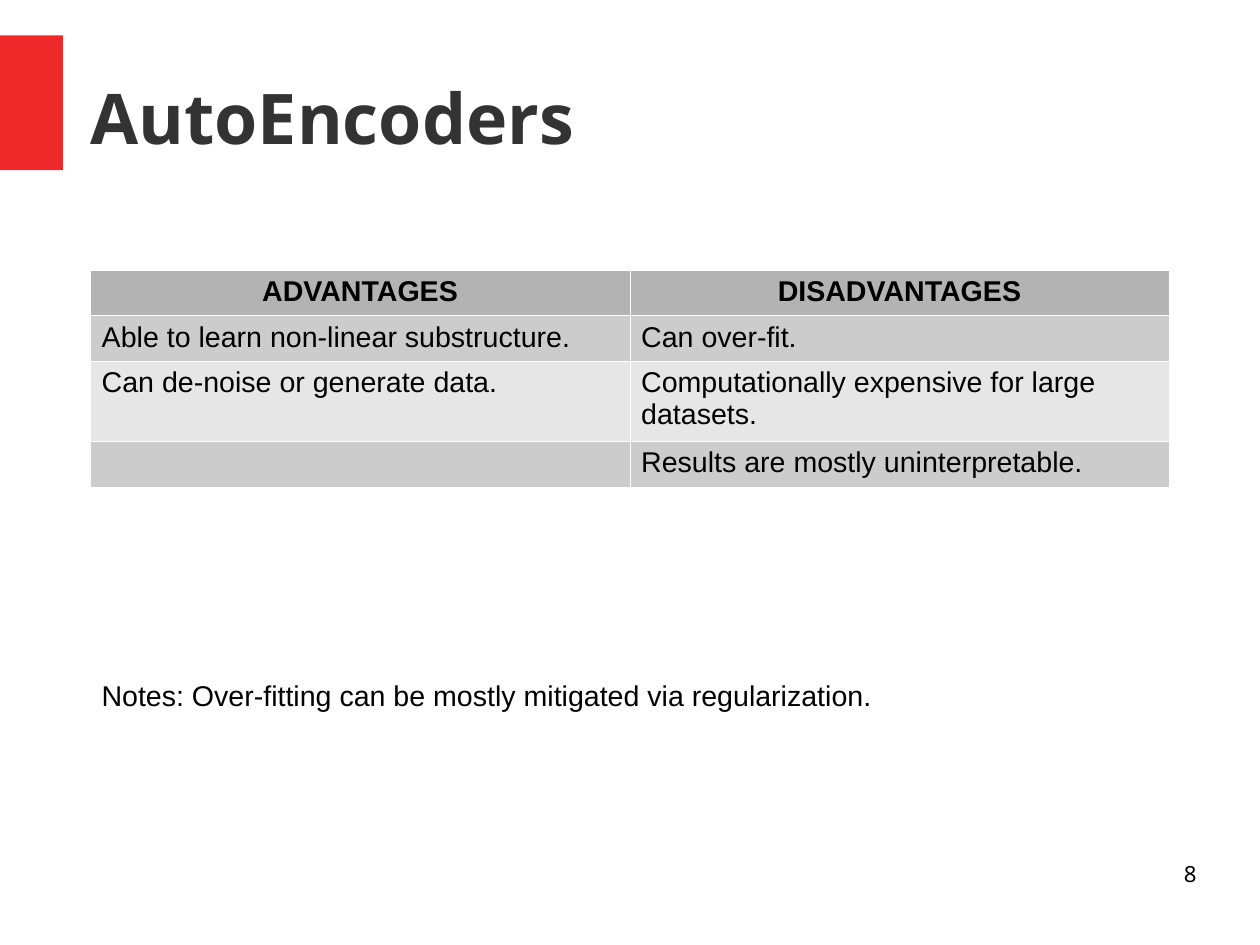
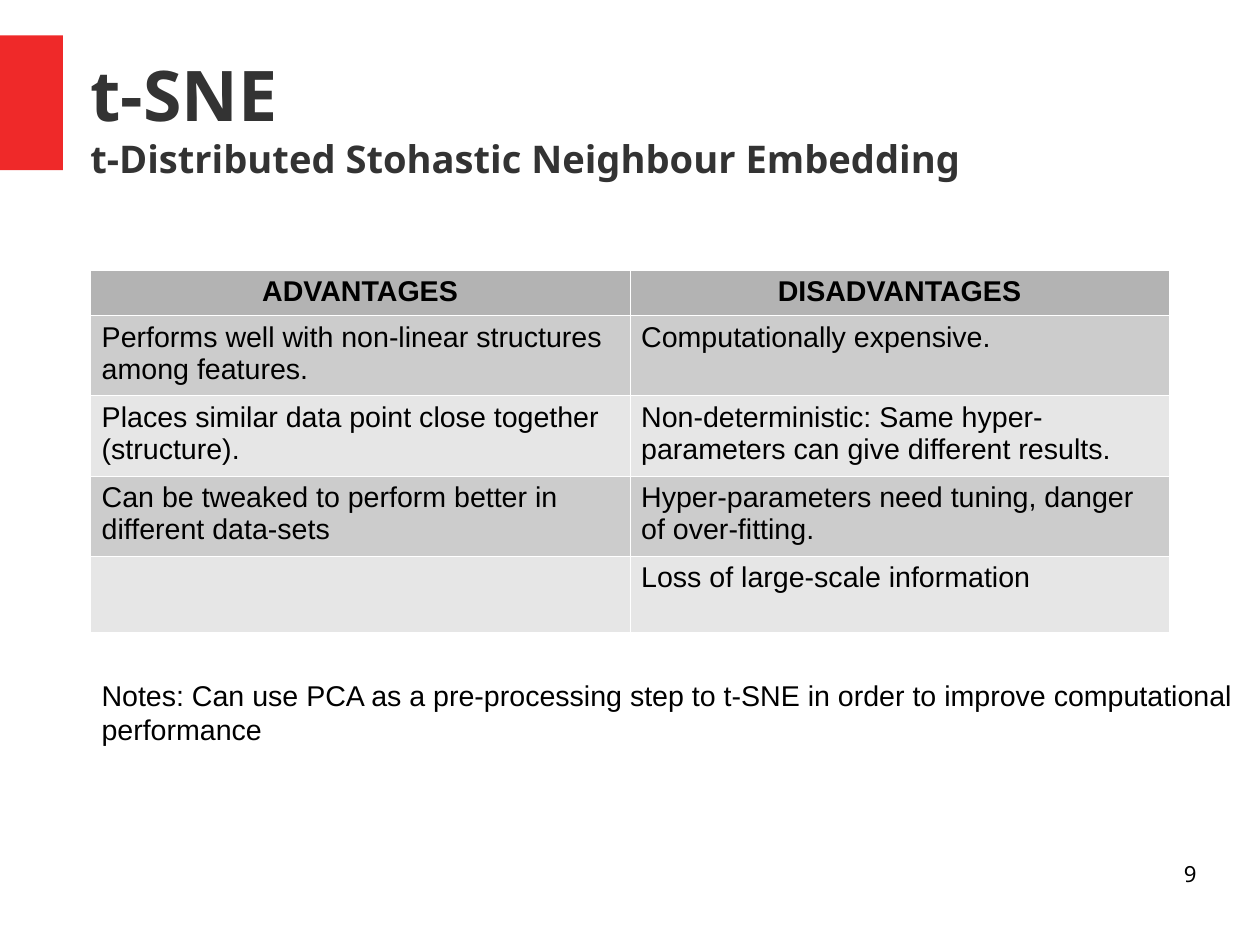
"""Build two slides that weigh advantages and disadvantages of embedding methods."""
from lxml.etree import SubElement
from pptx import Presentation
from pptx.dml.color import RGBColor
from pptx.enum.shapes import MSO_SHAPE
from pptx.enum.text import MSO_ANCHOR, PP_ALIGN
from pptx.oxml.ns import qn
from pptx.util import Inches, Pt

SLIDES = [
    {
        "number": "8",
        "title": [("AutoEncoders", 44)],
        "rows": [
            (0.4, "Able to learn non-linear substructure.", "Can over-fit."),
            (0.7, "Can de-noise or generate data.",
             "Computationally expensive for large datasets."),
            (0.4, "", "Results are mostly uninterpretable."),
        ],
        "notes": ["Notes: Over-fitting can be mostly mitigated via regularization."],
    },
    {
        "number": "9",
        "title": [("t-SNE", 44), ("t-Distributed Stohastic Neighbour Embedding", 24)],
        "rows": [
            (0.7, "Performs well with non-linear structures among features.",
             "Computationally expensive."),
            (0.7, "Places similar data point close together (structure).",
             "Non-deterministic: Same hyper-parameters can give different results."),
            (0.7, "Can be tweaked to perform better in different data-sets",
             "Hyper-parameters need tuning, danger of over-fitting."),
            (0.67, "", "Loss of large-scale information"),
        ],
        "notes": [
            "Notes: Can use PCA as a pre-processing step to t-SNE in order to improve computational",
            "performance",
        ],
    },
]
HEADER = (0.4, "ADVANTAGES", "DISADVANTAGES")
HEADER_FILL, BAND_FILLS = "B3B3B3", ("CCCCCC", "E6E6E6")
RED, DARK, BLACK, WHITE = "EF2929", "333333", "000000", "FFFFFF"
HEADING_FONT, BODY_FONT = "Noto Sans", "Arial"
PAGE_WIDTH, PAGE_HEIGHT = 28 / 2.54, 21 / 2.54
LEFT, COLUMN_WIDTH = 0.79, 4.72


def color(value):
    return RGBColor.from_string(value)


def write(frame, lines, font, ink=BLACK, bold=False, align=PP_ALIGN.LEFT):
    for index, (text, size) in enumerate(lines):
        para = frame.add_paragraph() if index else frame.paragraphs[0]
        para.alignment = align
        span = para.add_run()
        span.text = text
        span.font.name, span.font.size, span.font.bold = font, Pt(size), bold
        span.font.color.rgb = color(ink)


def add_text(page, place, lines, font, inset=(0, 0), anchor=MSO_ANCHOR.TOP, **style):
    frame = page.shapes.add_textbox(*map(Inches, place)).text_frame
    frame.word_wrap = True
    frame.vertical_anchor = anchor
    frame.margin_left = frame.margin_right = Inches(inset[0])
    frame.margin_top = frame.margin_bottom = Inches(inset[1])
    write(frame, lines, font, **style)


def add_borders(cell):
    properties = cell._tc.get_or_add_tcPr()
    for index, side in enumerate(("a:lnL", "a:lnR", "a:lnT", "a:lnB")):
        line = SubElement(properties, qn(side), w=str(Pt(0.06)))
        fill = SubElement(line, qn("a:solidFill"))
        SubElement(fill, qn("a:srgbClr"), val=WHITE)
        properties.insert(index, line)


def add_comparison(page, body):
    rows = [HEADER, *body]
    height = sum(row[0] for row in rows)
    table = page.shapes.add_table(
        len(rows), 2, Inches(LEFT), Inches(2.36),
        Inches(2 * COLUMN_WIDTH), Inches(height)).table
    for column in table.columns:
        column.width = Inches(COLUMN_WIDTH)
    for index, (row_height, *texts) in enumerate(rows):
        table.rows[index].height = Inches(row_height)
        is_header = index == 0
        for position, text in enumerate(texts):
            cell = table.cell(index, position)
            cell.fill.solid()
            cell.fill.fore_color.rgb = color(
                HEADER_FILL if is_header else BAND_FILLS[(index - 1) % 2])
            add_borders(cell)
            if text:
                write(cell.text_frame, [(text, 18)], BODY_FONT, bold=is_header,
                      align=PP_ALIGN.CENTER if is_header else PP_ALIGN.LEFT)


def add_frame(page, title, number):
    band = page.shapes.add_shape(
        MSO_SHAPE.RECTANGLE, 0, Inches(0.31), Inches(0.55), Inches(1.18))
    band.shadow.inherit = False
    band.fill.solid()
    band.fill.fore_color.rgb = color(RED)
    band.line.fill.background()
    add_text(page, (LEFT, 0.33, 9.68, 1.38), title, HEADING_FONT,
             anchor=MSO_ANCHOR.MIDDLE, ink=DARK, bold=True)
    add_text(page, (7.9, 7.53, 2.57, 0.57), [(number, 14)], HEADING_FONT,
             align=PP_ALIGN.RIGHT)


def main():
    deck = Presentation()
    deck.slide_width = Inches(PAGE_WIDTH)
    deck.slide_height = Inches(PAGE_HEIGHT)
    for content in SLIDES:
        page = deck.slides.add_slide(deck.slide_layouts[6])
        add_frame(page, content["title"], content["number"])
        add_comparison(page, content["rows"])
        add_text(page, (LEFT, 5.88, 10.16, 0.66),
                 [(line, 18) for line in content["notes"]], BODY_FONT,
                 inset=(0.1, 0.05))
    deck.save("out.pptx")


if __name__ == "__main__":
    main()
